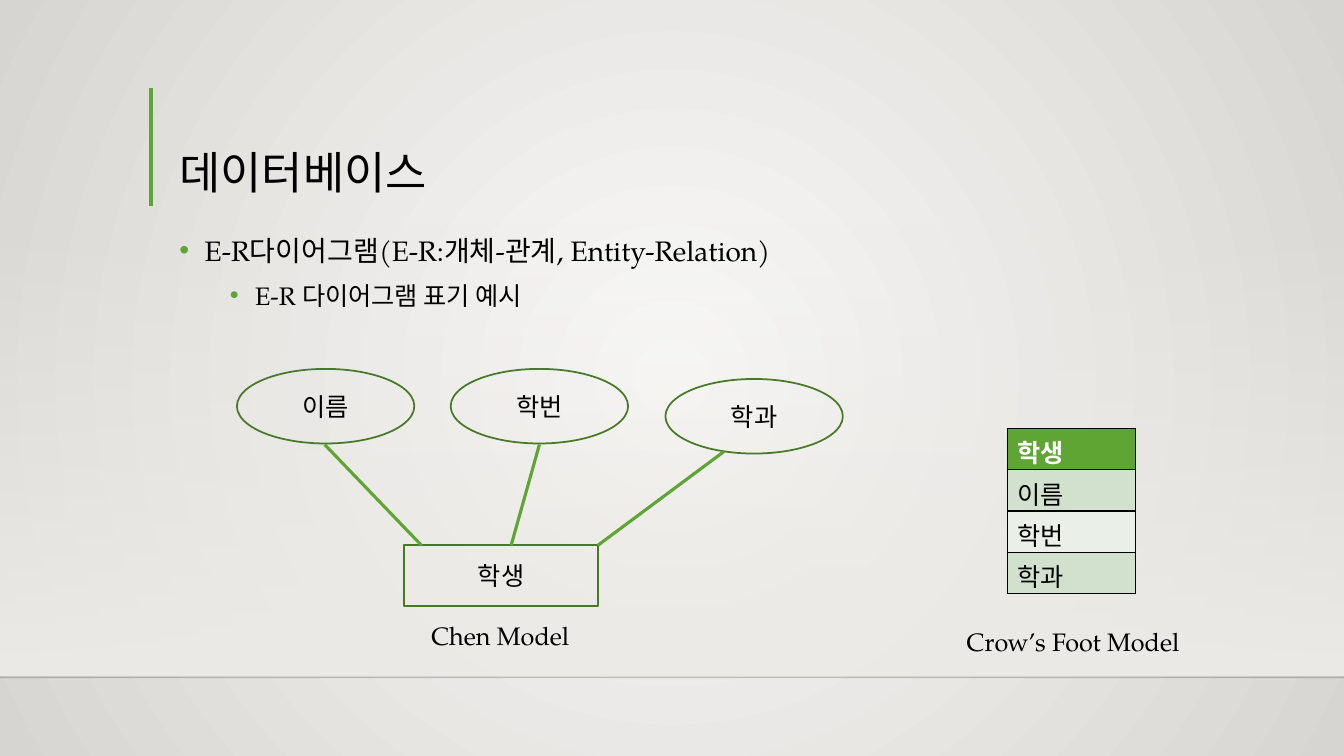
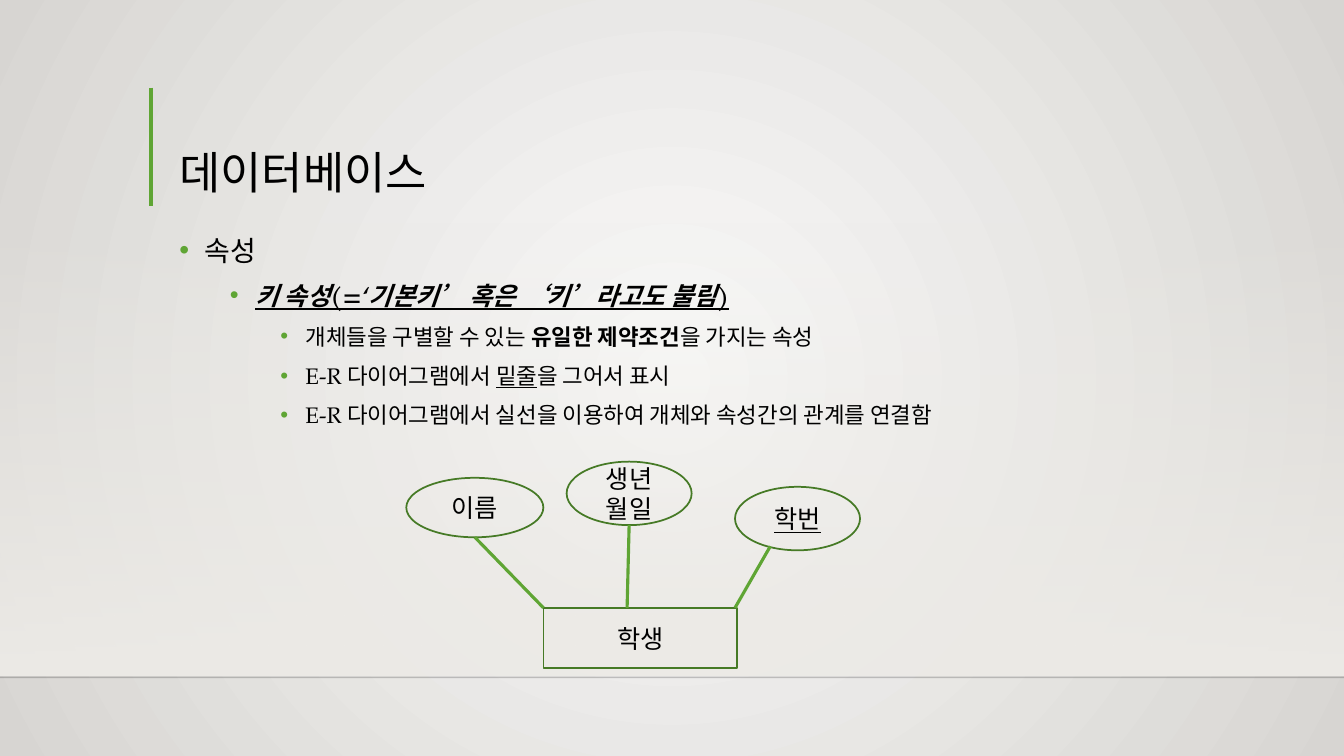
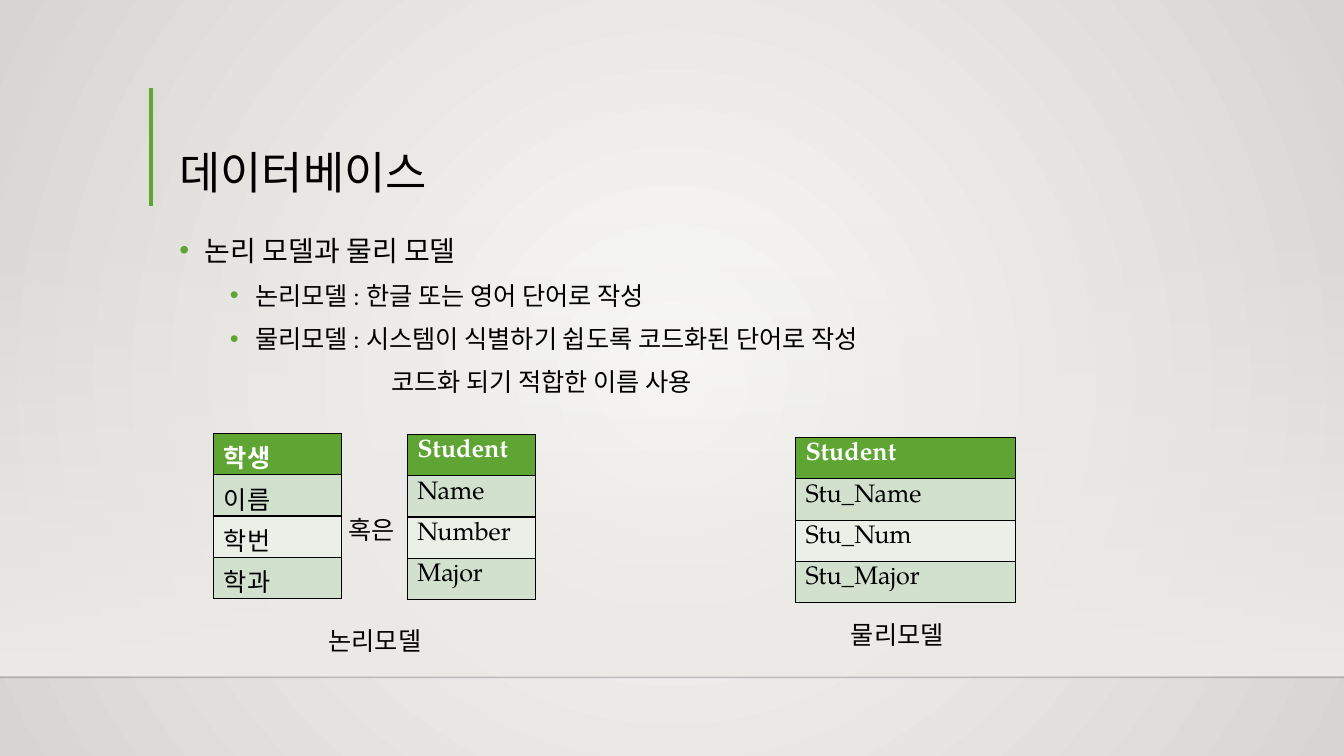
from dataclasses import dataclass, field
from typing import Any

import pptx
import pptx.dml.color
import pptx.enum.shapes
import pptx.enum.text
import pptx.oxml
import pptx.oxml.ns
import pptx.presentation
import pptx.slide
import pptx.text.text
import pptx.util

Inches = pptx.util.Inches
Pt = pptx.util.Pt
RGBColor = pptx.dml.color.RGBColor
Slide = pptx.slide.Slide
Kind = pptx.enum.shapes.MSO_SHAPE
Anchor = pptx.enum.text.MSO_ANCHOR
Align = pptx.enum.text.PP_ALIGN
Fit = pptx.enum.text.MSO_AUTO_SIZE
qn = pptx.oxml.ns.qn

# Shared look
FACE = "TeX Gyre Pagella"
BLACK = RGBColor(0x00, 0x00, 0x00)
WHITE = RGBColor(0xFF, 0xFF, 0xFF)
GREEN = RGBColor(0x5F, 0xA5, 0x34)
MOSS = RGBColor(0x46, 0x7A, 0x26)
MINT = RGBColor(0xD2, 0xE1, 0xCE)
PALE = RGBColor(0xEA, 0xF0, 0xE8)
SAND = RGBColor(0xED, 0xEB, 0xE7)
LIGHT = RGBColor(0xFA, 0xFA, 0xF9)
DUSK = RGBColor(0xD7, 0xD5, 0xD2)
INK = RGBColor(0x00, 0x00, 0x01)
WIDE, HIGH = 13.33, 7.5
ROW = 0.41
TITLE = "데이터베이스"
Point = tuple[float, float]
Frame = tuple[float, float, float, float]


@dataclass
class Run:
    text: str
    marks: dict[str, bool] = field(default_factory=dict)


@dataclass
class Item:
    level: int
    runs: list[Run]
    start: float | None = None  # left edge of a line without a bullet


@dataclass
class Node:
    text: str
    at: Frame
    kind: Any = Kind.OVAL
    marks: dict[str, bool] = field(default_factory=dict)


@dataclass
class Label:
    text: str
    at: Frame


@dataclass
class Grid:
    at: Point
    width: float
    rows: list[str]


@dataclass
class Page:
    items: list[Item]
    nodes: list[Node] = field(default_factory=list)
    links: list[tuple[Point, Point]] = field(default_factory=list)
    labels: list[Label] = field(default_factory=list)
    grids: list[Grid] = field(default_factory=list)
    width: float = 10.41


# Helpers
def node_xml(tag: str, inner: str = "") -> Any:
    name = tag.split()[0]
    space = pptx.oxml.ns.nsdecls("a")
    return pptx.oxml.parse_xml(f"<a:{tag} {space}>{inner}</a:{name}>")


def tint(rgb: RGBColor, alpha: int = 100) -> str:
    return f'<a:srgbClr val="{rgb}"><a:alpha val="{alpha * 1000}"/></a:srgbClr>'


def blend(owner: Any, first: str, last: str, shade: Any) -> None:
    """Fill the first gradient of an element with two stops and a shade."""
    grad = next(owner.iter(qn("a:gradFill")))
    for child in list(grad):
        grad.remove(child)
    stops = f'<a:gs pos="0">{first}</a:gs><a:gs pos="100000">{last}</a:gs>'
    grad.append(node_xml("gsLst", stops))
    grad.append(shade)


def write(para: Any, text: str, size: int, color: RGBColor = BLACK,
          marks: dict[str, bool] | None = None) -> None:
    run = para.add_run()
    run.text = text
    look = {"name": FACE, "size": Pt(size), **(marks or {})}
    for key, value in look.items():
        setattr(run.font, key, value)
    run.font.color.rgb = color


def place(shape: Any, at: Frame) -> None:
    for key, value in zip(("left", "top", "width", "height"), at):
        setattr(shape, key, Inches(value))


def draw_line(slide: Slide, start: Point, end: Point, color: RGBColor = GREEN,
              weight: float = 2.25, alpha: int = 100) -> None:
    ends = [Inches(v) for v in (*start, *end)]
    line = slide.shapes.add_connector(pptx.enum.shapes.MSO_CONNECTOR.STRAIGHT, *ends)
    line.line.color.rgb = color
    line.line.width = Pt(weight)
    if alpha < 100:
        paint = next(line._element.spPr.iter(qn("a:srgbClr")))
        paint.append(node_xml(f'alpha val="{alpha * 1000}"'))
    line._element.spPr.append(node_xml("effectLst"))


# Parts every slide shares
def set_back(deck: pptx.presentation.Presentation) -> None:
    master = deck.slide_master
    master.background.fill.gradient()
    shade = node_xml('path path="circle"',
                     '<a:fillToRect l="50000" t="50000" r="50000" b="50000"/>')
    blend(master._element, tint(LIGHT), tint(DUSK), shade)


def draw_frame(slide: Slide) -> None:
    band = slide.shapes.add_shape(
        Kind.RECTANGLE, 0, Inches(2.2), Inches(WIDE), Inches(4.5))
    band.shadow.inherit = False
    band.line.fill.background()
    band.fill.gradient()
    blend(band._element, tint(SAND, 0), tint(SAND),
          node_xml('lin ang="5400000" scaled="0"'))
    # The band lies behind the placeholders
    slide.shapes._spTree.insert(2, band._element)
    draw_line(slide, (0, 6.72), (WIDE, 6.72), INK, 1, 20)
    draw_line(slide, (1.5, 0.87), (1.5, 2.04), GREEN, 3)


def draw_title(slide: Slide) -> None:
    title = slide.shapes.title
    place(title, (1.68, 0.88, 10.41, 1.15))
    frame = title.text_frame
    frame.vertical_anchor = Anchor.BOTTOM
    frame.auto_size = Fit.NONE
    para = frame.paragraphs[0]
    para.alignment = Align.LEFT
    para.line_spacing = 0.9
    write(para, TITLE, 32)


def draw_list(slide: Slide, page: Page) -> None:
    body = slide.placeholders[1]
    place(body, (1.68, 2.2, page.width, 3.77))
    frame = body.text_frame
    frame.auto_size = Fit.NONE
    for i, item in enumerate(page.items):
        para = frame.add_paragraph() if i else frame.paragraphs[0]
        look = {"level": item.level, "line_spacing": 1.2,
                "space_before": Pt(5 if item.level else 10)}
        for key, value in look.items():
            setattr(para, key, value)
        props = para._p.get_or_add_pPr()
        if item.start is None:
            left, hang = 0.25 + 0.5 * item.level, -0.25
            props.append(node_xml("buClr", tint(GREEN)))
            props.append(node_xml('buFont typeface="Arial"'))
            props.append(node_xml('buChar char="•"'))
        else:
            left, hang = item.start, 0
            props.append(node_xml("buNone"))
        props.set("marL", str(Inches(left)))
        props.set("indent", str(Inches(hang)))
        for run in item.runs:
            write(para, run.text, 20 - 2 * item.level, marks=run.marks)


# Parts of a diagram
def draw_node(slide: Slide, node: Node) -> None:
    shape = slide.shapes.add_shape(node.kind, *(Inches(v) for v in node.at))
    shape.shadow.inherit = False
    shape.fill.background()
    shape.line.color.rgb = MOSS
    shape.line.width = Pt(1.25)
    shape.text_frame.vertical_anchor = Anchor.MIDDLE
    para = shape.text_frame.paragraphs[0]
    para.alignment = Align.CENTER
    write(para, node.text, 18, marks=node.marks)


def draw_label(slide: Slide, label: Label) -> None:
    box = slide.shapes.add_textbox(*(Inches(v) for v in label.at))
    box.text_frame.word_wrap = False
    box.text_frame.auto_size = Fit.SHAPE_TO_FIT_TEXT
    write(box.text_frame.paragraphs[0], label.text, 18)


def draw_grid(slide: Slide, grid: Grid) -> None:
    count = len(grid.rows)
    size = (*grid.at, grid.width, ROW * count)
    table = slide.shapes.add_table(count, 1, *(Inches(v) for v in size)).table
    table.horz_banding = False
    for i, text in enumerate(grid.rows):
        table.rows[i].height = Inches(ROW)
        cell = table.cell(i, 0)
        props = cell._tc.get_or_add_tcPr()
        for side in "LRTB":
            props.append(node_xml(f'ln{side} w="{Pt(1)}"',
                                  f"<a:solidFill>{tint(BLACK)}</a:solidFill>"))
        cell.fill.solid()
        cell.fill.fore_color.rgb = (MINT if i % 2 else PALE) if i else GREEN
        write(cell.text_frame.paragraphs[0], text, 18,
              BLACK if i else WHITE, {"bold": i == 0})


def draw_page(deck: pptx.presentation.Presentation, page: Page) -> None:
    slide = deck.slides.add_slide(deck.slide_layouts[1])
    draw_frame(slide)
    draw_title(slide)
    draw_list(slide, page)
    for node in page.nodes:
        draw_node(slide, node)
    for start, end in page.links:
        draw_line(slide, start, end)
    for label in page.labels:
        draw_label(slide, label)
    for grid in page.grids:
        draw_grid(slide, grid)


# Content
PUPIL = ["학생", "이름", "학번", "학과"]
STRONG = {"bold": True}
UNDER = {"underline": True}
KEY = {"bold": True, "italic": True, "underline": True}

PAGES = [
    Page(
        items=[
            Item(0, [Run("E-R다이어그램(E-R:개체-관계, Entity-Relation)")]),
            Item(1, [Run("E-R 다이어그램 표기 예시")]),
        ],
        nodes=[
            Node("학생", (4.01, 5.41, 1.92, 0.6), Kind.RECTANGLE),
            Node("이름", (2.35, 3.66, 1.76, 0.74)),
            Node("학번", (4.47, 3.66, 1.76, 0.74)),
            Node("학과", (6.6, 3.76, 1.76, 0.74)),
        ],
        links=[((3.22, 4.41), (4.18, 5.41)),
               ((5.35, 4.41), (5.07, 5.41)),
               ((7.18, 4.48), (5.93, 5.41))],
        labels=[Label("Chen Model", (4.18, 6.11, 1.59, 0.4)),
                Label("Crow’s Foot Model", (9.49, 6.16, 2.33, 0.4))],
        grids=[Grid((9.99, 4.25), 1.27, PUPIL)],
    ),
    Page(
        items=[
            Item(0, [Run("속성")]),
            Item(1, [Run("키 속성(=‘기본키’ 혹은 ‘키’라고도 불림)", KEY)]),
            Item(2, [Run("개체들을 구별할 수 있는 "),
                     Run("유일한 제약조건", STRONG),
                     Run("을 가지는 속성")]),
            Item(2, [Run("E-R 다이어그램에서 "), Run("밑줄", UNDER),
                     Run("을 그어서 표시")]),
            Item(2, [Run("E-R 다이어그램에서 실선을 이용하여 "
                         "개체와 속성간의 관계를 연결함")]),
        ],
        nodes=[
            Node("학생", (5.39, 6.03, 1.92, 0.6), Kind.RECTANGLE),
            Node("이름", (4.03, 4.74, 1.36, 0.59)),
            Node("생년월일", (5.62, 4.58, 1.24, 0.63)),
            Node("학번", (7.29, 4.83, 1.24, 0.63), marks=UNDER),
        ],
        links=[((4.71, 5.33), (5.39, 6.03)),
               ((6.24, 5.21), (6.22, 6.03)),
               ((7.64, 5.42), (7.29, 6.03))],
        width=11.01,
    ),
    Page(
        items=[
            Item(0, [Run("논리 모델과 물리 모델")]),
            Item(1, [Run("논리모델 : 한글 또는 영어 단어로 작성")]),
            Item(1, [Run("물리모델 : 시스템이 식별하기 쉽도록 "
                         "코드화된 단어로 작성")]),
            Item(1, [Run("코드화 되기 적합한 이름 사용")], start=2.1),
        ],
        labels=[Label("논리모델", (3.16, 6.15, 1.21, 0.4)),
                Label("혹은", (3.36, 5.05, 0.71, 0.4)),
                Label("물리모델", (8.34, 6.09, 1.21, 0.4))],
        grids=[
            Grid((2.12, 4.3), 1.27, PUPIL),
            Grid((4.04, 4.31), 1.27, ["Student", "Name", "Number", "Major"]),
            Grid((7.89, 4.34), 2.18,
                 ["Student", "Stu_Name", "Stu_Num", "Stu_Major"]),
        ],
    ),
]

# Build
deck = pptx.Presentation()
deck.slide_width = Inches(WIDE)
deck.slide_height = Inches(HIGH)
set_back(deck)
for page in PAGES:
    draw_page(deck, page)
deck.save("out.pptx")
